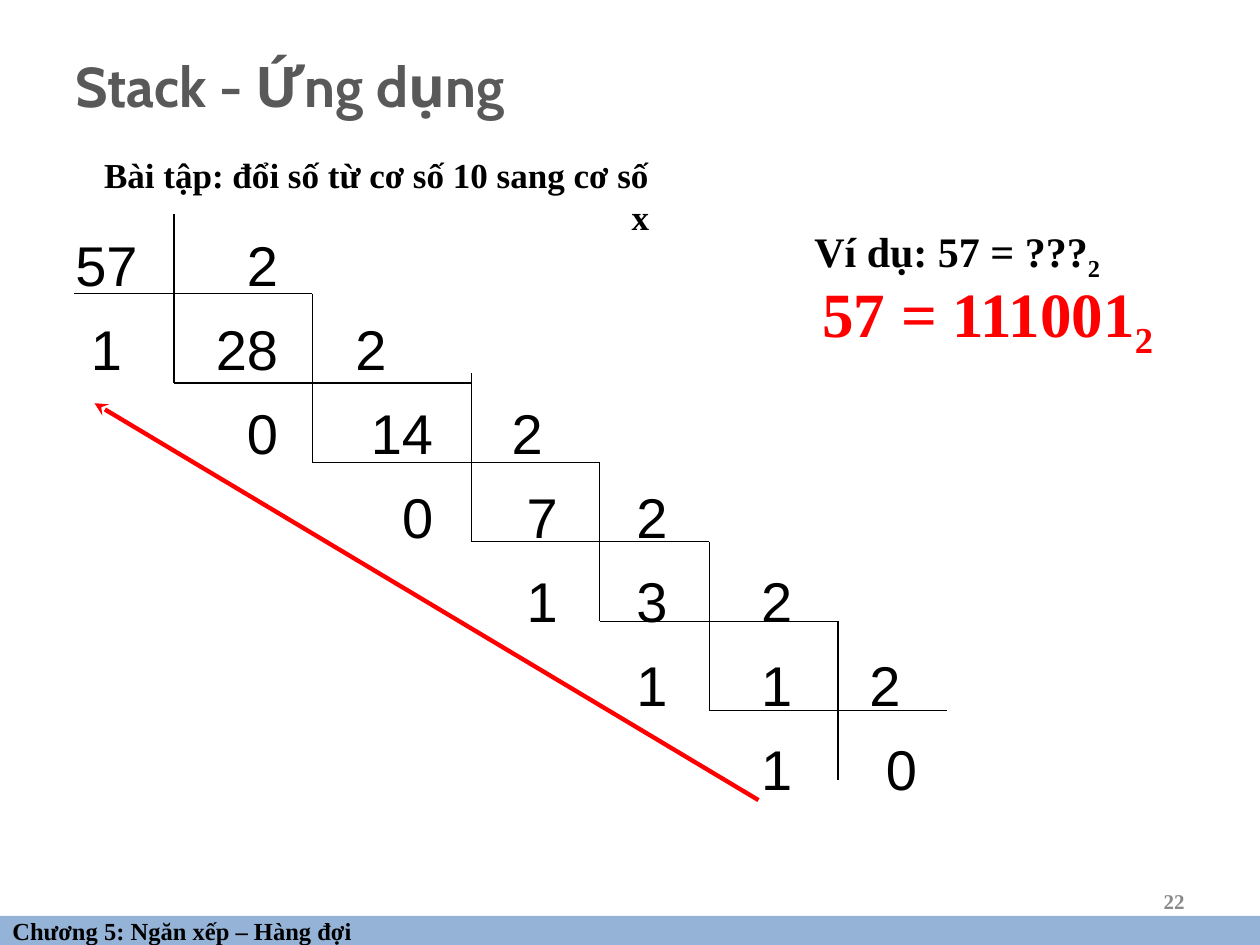
from lxml.etree import SubElement
from pptx import Presentation
from pptx.dml.color import RGBColor
from pptx.enum.shapes import MSO_CONNECTOR as CONN, MSO_SHAPE as SHAPE
from pptx.enum.text import MSO_ANCHOR as ANCHOR, PP_ALIGN as ALIGN
from pptx.oxml.ns import qn
from pptx.util import Inches, Pt

BLACK = RGBColor(0x00, 0x00, 0x00)
RED = RGBColor(0xFF, 0x00, 0x00)
GRAY = RGBColor(0x59, 0x59, 0x59)
LIGHT_GRAY = RGBColor(0x89, 0x89, 0x89)
BLUE = RGBColor(0x95, 0xB3, 0xD7)
SERIF = "Times New Roman"

GRID_X = [0.59, 1.38, 2.48, 3.74, 4.76, 5.63, 6.65, 7.52]
GRID_Y = [1.7, 2.33, 3.04, 3.67, 4.3, 4.93, 5.64, 6.19]
TOPS = [*GRID_Y[:2], 2.96, *GRID_Y[3:6]]

DIVISION_ROWS = [
    [("57", 0.49), ("2", 1.61)],
    [("1", 0.37), ("28", 1.61), ("2", 2.47)],
    [("0", 1.61), ("14", 2.84), ("2", 3.71)],
    [("0", 2.84), ("7", 3.83), ("2", 4.7)],
    [("1", 3.83), ("3", 4.7), ("2", 5.69)],
    [("1", 4.7), ("1", 5.69), ("2", 6.55)],
    [("1", 5.69), ("0", 6.68)],
]


def add_run(p, text, font=SERIF, size=20, color=BLACK, bold=True, baseline=None):
    r = p.add_run()
    r.text = text
    r.font.name, r.font.size, r.font.bold = font, Pt(size), bold
    r.font.color.rgb = color
    if baseline:
        r.font._element.set("baseline", str(baseline * 1000))


class SlideBuilder:
    def __init__(self, prs):
        self.s = prs.slides.add_slide(prs.slide_layouts[5])

    def place(self, sp, box):
        sp.left, sp.top, sp.width, sp.height = (Inches(v) for v in box)

    def title(self, text, box):
        sp = self.s.shapes.title
        self.place(sp, box)
        tf = sp.text_frame
        tf.vertical_anchor = ANCHOR.MIDDLE
        tf.paragraphs[0].alignment = ALIGN.LEFT
        add_run(tf.paragraphs[0], text, font="Cabin", size=32, color=GRAY)

    def bar(self, text, box):
        sp = self.s.shapes.add_shape(SHAPE.RECTANGLE, *(Inches(v) for v in box))
        sp.shadow.inherit = False
        sp.fill.solid()
        sp.fill.fore_color.rgb = BLUE
        sp.line.fill.background()
        tf = sp.text_frame
        tf.vertical_anchor = ANCHOR.MIDDLE
        tf.paragraphs[0].alignment = ALIGN.LEFT
        add_run(tf.paragraphs[0], text, size=14)

    def text_box(self, box, wrap=True, anchor=ANCHOR.TOP):
        tf = self.s.shapes.add_textbox(*(Inches(v) for v in box)).text_frame
        tf.word_wrap = wrap
        tf.vertical_anchor = anchor
        return tf

    def label(self, text, box, subscript=None, wrap=True, anchor=ANCHOR.TOP, **style):
        p = self.text_box(box, wrap, anchor).paragraphs[0]
        p.alignment = ALIGN.RIGHT
        add_run(p, text, **style)
        if subscript:
            add_run(p, subscript, baseline=-25, **style)

    def division(self, rows, box):
        tf = self.text_box(box)
        for i, row in enumerate(rows):
            p = tf.add_paragraph() if i else tf.paragraphs[0]
            p.space_after = Pt(9.6)
            tabs = SubElement(p._p.get_or_add_pPr(), qn("a:tabLst"))
            for _, right in row:
                SubElement(tabs, qn("a:tab"), pos=str(Inches(right)), algn="r")
            text = "".join("\t" + number for number, _ in row)
            add_run(p, text, font="Arial", size=32, bold=False)

    def line(self, x1, y1, x2, y2, color=BLACK, width=0.75, arrow=False):
        ends = (Inches(v) for v in (x1, y1, x2, y2))
        sp = self.s.shapes.add_connector(CONN.STRAIGHT, *ends)
        sp.line.color.rgb = color
        sp.line.width = Pt(width)
        if arrow:
            SubElement(sp.line._get_or_add_ln(), qn("a:tailEnd"), type="stealth")
        SubElement(sp._element.spPr, qn("a:effectLst"))


def main():
    prs = Presentation()
    prs.slide_width, prs.slide_height = Inches(10), Inches(7.5)
    b = SlideBuilder(prs)
    b.bar("Chương 5: Ngăn xếp – Hàng đợi", (0, 7.27, 10, 0.23))
    b.label("22", (7.17, 6.95, 2.33, 0.4), anchor=ANCHOR.MIDDLE, size=12, color=LIGHT_GRAY)
    b.title("Stack - Ứng dụng", (0.5, 0.05, 9, 1.25))
    b.division(DIVISION_ROWS, (0.5, 1.78, 9, 4.95))
    for i, top in enumerate(TOPS):
        b.line(GRID_X[i + 1], top, GRID_X[i + 1], GRID_Y[i + 2])
        b.line(GRID_X[i], GRID_Y[i + 1], GRID_X[i + 2], GRID_Y[i + 1])
    b.label("57 = 111001", (5.63, 2.13, 3.62, 0.79), subscript="2", size=36, color=RED)
    b.line(6.02, 6.35, 0.75, 3.2, color=RED, width=2.5, arrow=True)
    b.label("Ví dụ: 57 = ???", (6.36, 1.74, 2.47, 0.56), subscript="2", wrap=False, size=24)
    b.label("Bài tập: đổi số từ cơ số 10 sang cơ số x", (0.52, 1.17, 4.73, 0.44), wrap=False)
    prs.save("out.pptx")


if __name__ == "__main__":
    main()
